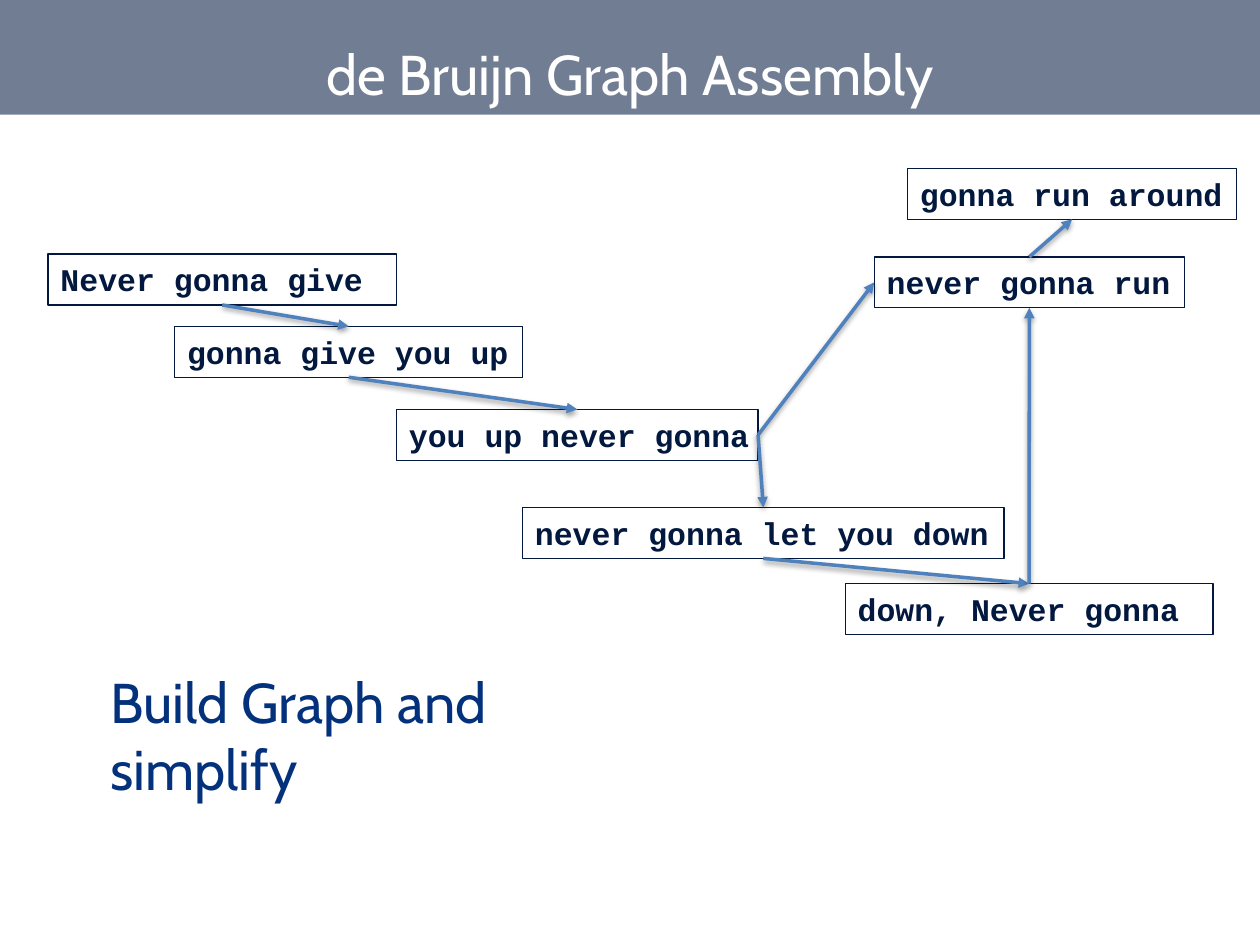
from lxml import etree
from pptx import Presentation
from pptx.dml.color import RGBColor
from pptx.enum.shapes import MSO_CONNECTOR, MSO_SHAPE
from pptx.enum.text import MSO_ANCHOR, MSO_AUTO_SIZE, PP_ALIGN
from pptx.oxml import parse_xml
from pptx.oxml.ns import nsdecls, qn
from pptx.util import Pt

NAVY = RGBColor(0x02, 0x18, 0x3E)
BLUE = RGBColor(0x03, 0x31, 0x7B)
EDGE = RGBColor(0x4F, 0x81, 0xBD)
WHITE = RGBColor(0xFF, 0xFF, 0xFF)
HEAD_FONT, NODE_FONT = "Cabin", "Courier New"
TOP, LEFT, BOTTOM, RIGHT = range(4)  # connection sites of a rectangle

TITLE = "de Bruijn Graph Assembly"
CAPTION = "Build Graph and simplify"
NODE_H = 29.1
# key: (text, left, top, width)
NODES = {
    "give": ("Never gonna give", 27.5, 145.2, 199),
    "give up": ("gonna give you up", 99.8, 186.5, 199),
    "let down": ("never gonna let you down", 298.6, 290, 275.2),
    "up never": ("you up never gonna", 226.6, 234, 206.6),
    "run": ("never gonna run", 499.6, 146.8, 177.2),
    "around": ("gonna run around", 518.6, 96.2, 188.2),
    "down never": ("down, Never gonna", 483, 333.5, 210.2),
}
# (from node, site, to node, site)
EDGES = [
    ("up never", RIGHT, "run", LEFT),
    ("run", TOP, "around", BOTTOM),
    ("up never", RIGHT, "let down", TOP),
    ("let down", BOTTOM, "down never", TOP),
    ("give", BOTTOM, "give up", TOP),
    ("give up", BOTTOM, "up never", TOP),
    ("down never", TOP, "run", BOTTOM),
]
SHADOW = (
    f'<a:effectLst {nsdecls("a")}><a:outerShdw blurRad="{Pt(3.1)}" '
    f'dist="{Pt(1.6)}" dir="5400000" rotWithShape="0"><a:srgbClr val="000000">'
    '<a:alpha val="38000"/></a:srgbClr></a:outerShdw></a:effectLst>'
)


def place(sp, left, top, width, height):
    sp.left, sp.top, sp.width, sp.height = map(Pt, (left, top, width, height))


def write(sp, text, font, size, color, bold=False, align=PP_ALIGN.LEFT):
    tf = sp.text_frame
    tf.text = text
    tf.word_wrap = True
    tf.auto_size = MSO_AUTO_SIZE.NONE
    tf.vertical_anchor = MSO_ANCHOR.TOP
    p = tf.paragraphs[0]
    p.alignment = align
    f = p.runs[0].font
    f.name, f.size, f.bold = font, Pt(size), bold
    f.color.rgb = color
    return p


def add_node(shapes, text, left, top, width):
    sp = shapes.add_shape(MSO_SHAPE.RECTANGLE, Pt(left), Pt(top), Pt(width), Pt(NODE_H))
    sp.shadow.inherit = False
    sp.fill.background()
    sp.line.color.rgb = NAVY
    sp.line.width = Pt(0.75)
    write(sp, text, NODE_FONT, 18, NAVY, bold=True)
    sp.text_frame.margin_right = 0
    return sp


def add_edge(shapes, start, start_site, end, end_site):
    line = shapes.add_connector(MSO_CONNECTOR.STRAIGHT, 0, 0, 0, 0)
    line.begin_connect(start, start_site)
    line.end_connect(end, end_site)
    line.line.color.rgb = EDGE
    line.line.width = Pt(2)
    etree.SubElement(line.line._get_or_add_ln(), qn("a:tailEnd"), type="triangle")
    line._element.spPr.append(parse_xml(SHADOW))


def main():
    prs = Presentation()
    prs.slide_width, prs.slide_height = Pt(720), Pt(540)
    s = prs.slides.add_slide(prs.slide_layouts[5])

    title = s.shapes.title
    place(title, 0, 0, 720, 65.5)
    title.fill.solid()
    title.fill.fore_color.rgb = NAVY
    color = title._element.spPr.find(".//" + qn("a:srgbClr"))
    etree.SubElement(color, qn("a:alpha"), val="56000")
    p = write(title, TITLE, HEAD_FONT, 32, WHITE, align=PP_ALIGN.CENTER)
    p.line_spacing = 1.5

    nodes = {key: add_node(s.shapes, *node) for key, node in NODES.items()}
    for start, start_site, end, end_site in EDGES:
        add_edge(s.shapes, nodes[start], start_site, nodes[end], end_site)

    caption = s.shapes.add_textbox(Pt(56), Pt(378), Pt(242.6), Pt(85))
    write(caption, CAPTION, HEAD_FONT, 32, BLUE)

    prs.save("out.pptx")


if __name__ == "__main__":
    main()
